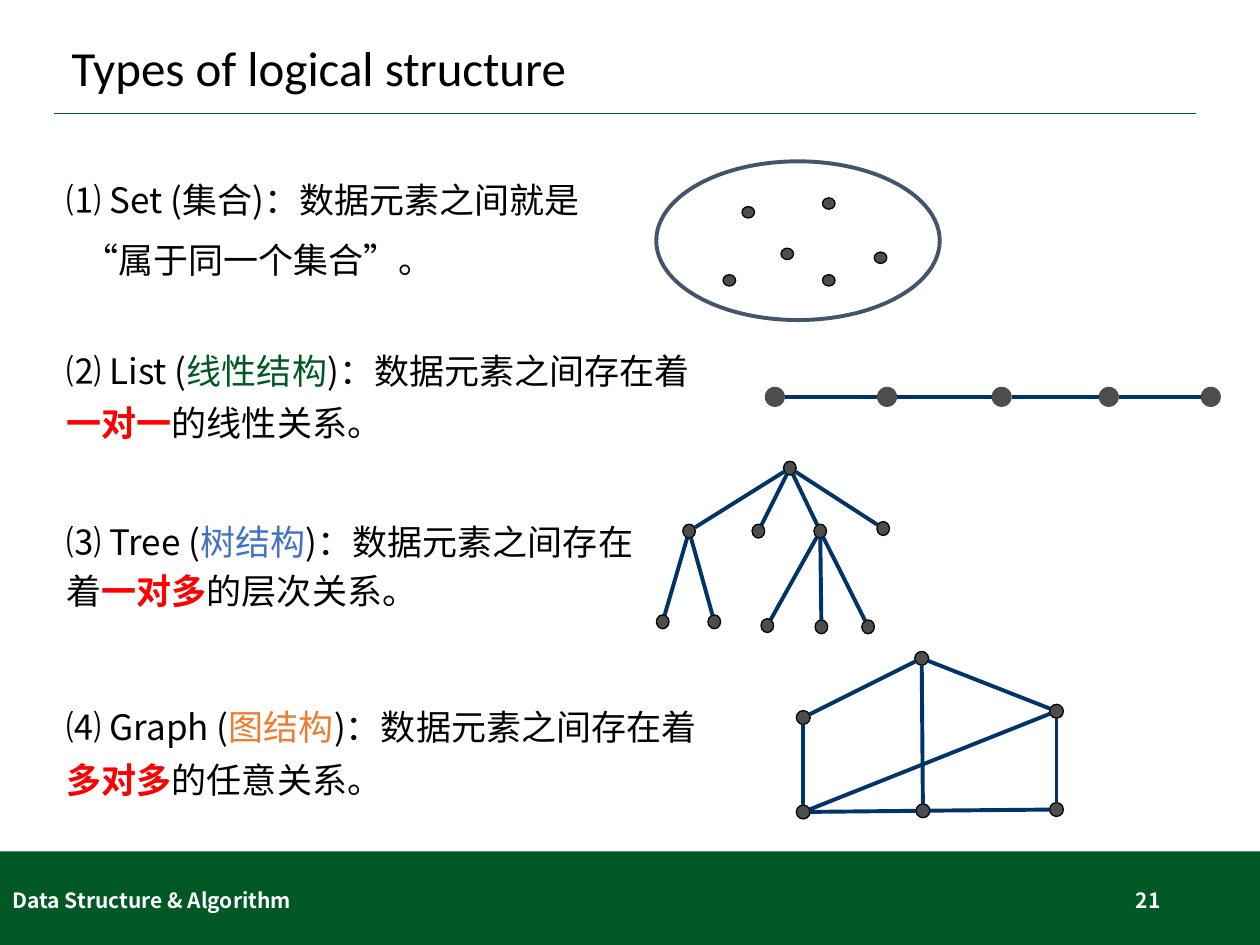
import math
import pptx
import pptx.util
import pptx.dml.color
import pptx.enum.shapes
import pptx.enum.text
import pptx.oxml.ns
import pptx.oxml.xmlchemy

Pt = pptx.util.Pt
RGBColor = pptx.dml.color.RGBColor
Shape = pptx.enum.shapes.MSO_SHAPE
Align = pptx.enum.text.PP_ALIGN
Anchor = pptx.enum.text.MSO_ANCHOR
qn = pptx.oxml.ns.qn
make = pptx.oxml.xmlchemy.OxmlElement

GREEN = RGBColor(0x00, 0x58, 0x25)
BLACK = RGBColor(0x00, 0x00, 0x00)
WHITE = RGBColor(0xFF, 0xFF, 0xFF)
RED = RGBColor(0xFF, 0x00, 0x00)
BLUE = RGBColor(0x44, 0x72, 0xC4)
ORANGE = RGBColor(0xED, 0x7D, 0x31)
SLATE = RGBColor(0x44, 0x54, 0x6A)
NAVY = RGBColor(0x00, 0x33, 0x66)
GRAY = RGBColor(0x4D, 0x4D, 0x4D)
SANS = "Noto Sans CJK SC"


def add_text(shapes, box, text, size=20, font=SANS, color=BLACK, bold=False,
             align=Align.LEFT, anchor=Anchor.TOP, lines=None, gap=0, indent=0):
    frame = shapes.add_textbox(*map(Pt, box)).text_frame
    frame.word_wrap = True
    frame.vertical_anchor = anchor
    rows = [[(text, color, bold)]] if isinstance(text, str) else text
    for i, row in enumerate(rows):
        para = frame.paragraphs[0] if i == 0 else frame.add_paragraph()
        para.alignment = align
        if lines:
            para.line_spacing = lines
        if i:
            para.space_before = Pt(gap)
            if indent:
                para._p.get_or_add_pPr().set("marL", str(Pt(indent)))
        for words, tint, heavy in row:
            run = para.add_run()
            run.text = words
            run.font.size = Pt(size)
            run.font.name = font
            run.font.bold = heavy
            run.font.color.rgb = tint
            east = make("a:ea")
            east.set("typeface", font)
            run._r.get_or_add_rPr().append(east)


def add_form(shapes, kind, box, fill=None, line=None, width=0.75):
    form = shapes.add_shape(kind, *map(Pt, box))
    form.shadow.inherit = False
    if fill is None:
        form.fill.background()
    else:
        form.fill.solid()
        form.fill.fore_color.rgb = fill
    if line is None:
        form.line.fill.background()
    else:
        form.line.color.rgb = line
        form.line.width = Pt(width)


def add_line(shapes, start, end, color, width):
    line = shapes.add_connector(pptx.enum.shapes.MSO_CONNECTOR.STRAIGHT,
                                *map(Pt, (*start, *end)))
    line.line.color.rgb = color
    line.line.width = Pt(width)
    line._element.find(qn("p:spPr")).append(make("a:effectLst"))


def add_net(slide, box, size, nodes, edges=(), rim=BLACK, ring=False):
    shapes = slide.shapes.add_group_shape().shapes
    left, top, wide, high = box
    w, h = size
    if ring:
        add_form(shapes, Shape.OVAL, box, line=SLATE, width=2.25)
    spots = [(left + x, top + y) for x, y in nodes]
    for x, y in spots:
        add_form(shapes, Shape.OVAL, (x - w / 2, y - h / 2, w, h), GRAY, rim)
    for a, b in edges:
        (x1, y1), (x2, y2) = spots[a], spots[b]
        trim = h / 2 / math.dist(spots[a], spots[b])
        dx, dy = (x2 - x1) * trim, (y2 - y1) * trim
        add_line(shapes, (x1 + dx, y1 + dy), (x2 - dx, y2 - dy), NAVY, 2.25)


def add_head(slide, box):
    left, top, wide, high = box
    add_line(slide.shapes, (left, top + high), (left + wide, top + high), GREEN, 1)
    add_text(slide.shapes, (left + 2.9, top, wide, 47.5), "Types of logical structure",
             size=28, font="Calibri", anchor=Anchor.MIDDLE, lines=0.9)


def add_foot(slide, box):
    left, top, wide, high = box
    add_form(slide.shapes, Shape.RECTANGLE, box, GREEN)
    look = dict(size=12, color=WHITE, bold=True, anchor=Anchor.MIDDLE)
    add_text(slide.shapes, (left, top + 13.7, 243.4, 28.8), "Data Structure & Algorithm", **look)
    add_text(slide.shapes, (left + 508.3, top + 13.7, 162, 28.8), "21", align=Align.RIGHT, **look)


def add_notes(slide, box):
    left, top, wide, high = box

    def plain(words):
        return (words, BLACK, False)

    def term(head, name, tint, tail):
        return [plain(head), (name, tint, False), plain(tail)]

    def key(name, tail):
        return [(name, RED, True), plain(tail)]

    notes = [
        (0, 399.6, [[plain("⑴ Set (集合)：数据元素之间就是")], [plain("“属于同一个集合”。")]],
         dict(gap=10, indent=9.5)),
        (91.4, 382.3, [term("⑵ List (", "线性结构", GREEN, ")：数据元素之间存在着")
                       + key("一对一", "的线性关系。")], dict(lines=1.25)),
        (195.1, 400.3, [term("⑶ Tree (", "树结构", BLUE, ")：数据元素之间存在"),
                        [plain("着")] + key("一对多", "的层次关系。")], dict(gap=4)),
        (295.2, 392.4, [term("⑷ Graph (", "图结构", ORANGE, ")：数据元素之间存在着")
                        + key("多对多", "的任意关系。")], dict(lines=1.25)),
    ]
    for y, w, text, look in notes:
        add_text(slide.shapes, (left, top + y, w, 85), text, **look)


def add_set(slide, box):
    nodes = [(52.6, 29.1), (98.6, 24.1), (41.8, 68), (98.6, 68), (74.9, 52.9), (128.2, 55.1)]
    add_net(slide, box, (7.2, 6.5), nodes, ring=True)


def add_list(slide, box):
    nodes = [(x, 5.8) for x in (5.8, 69.9, 135.4, 196.6, 254.9)]
    add_net(slide, box, (11.5, 11.5), nodes, [(i, i + 1) for i in range(4)], rim=None)


def add_tree(slide, box):
    nodes = [(76.4, 4), (18.8, 40), (58.4, 40), (93.7, 40), (129.7, 38.5),
             (3.7, 91.8), (33.2, 91.8), (63.5, 94), (94.4, 94.7), (121.1, 94.7)]
    kids = {0: (1, 2, 3, 4), 1: (5, 6), 3: (7, 8, 9)}
    edges = [(a, b) for a, group in kids.items() for b in group]
    add_net(slide, box, (7.2, 7.9), nodes, edges)


def add_graph(slide, box):
    nodes = [(71.7, 4.2), (4, 38), (4, 92), (148.7, 34.4), (72.4, 91.3), (148.7, 90.6)]
    edges = [(0, 1), (0, 3), (1, 2), (2, 4), (4, 0), (4, 5), (3, 2), (3, 5)]
    add_net(slide, box, (7.9, 7.9), nodes, edges)


def main():
    deck = pptx.Presentation()
    deck.slide_width, deck.slide_height = Pt(720), Pt(540)
    slide = deck.slides.add_slide(deck.slide_layouts[6])
    add_foot(slide, (0, 486.5, 720, 53.5))
    add_head(slide, (31, 16.6, 652.3, 48.2))
    add_notes(slide, (31, 98.6, 400, 380))
    add_set(slide, (375, 92.2, 162, 90.7))
    add_list(slide, (437, 221, 261, 11.5))
    add_tree(slide, (375, 263.5, 133, 99))
    add_graph(slide, (455, 372, 153, 96))
    deck.save("out.pptx")


if __name__ == "__main__":
    main()
